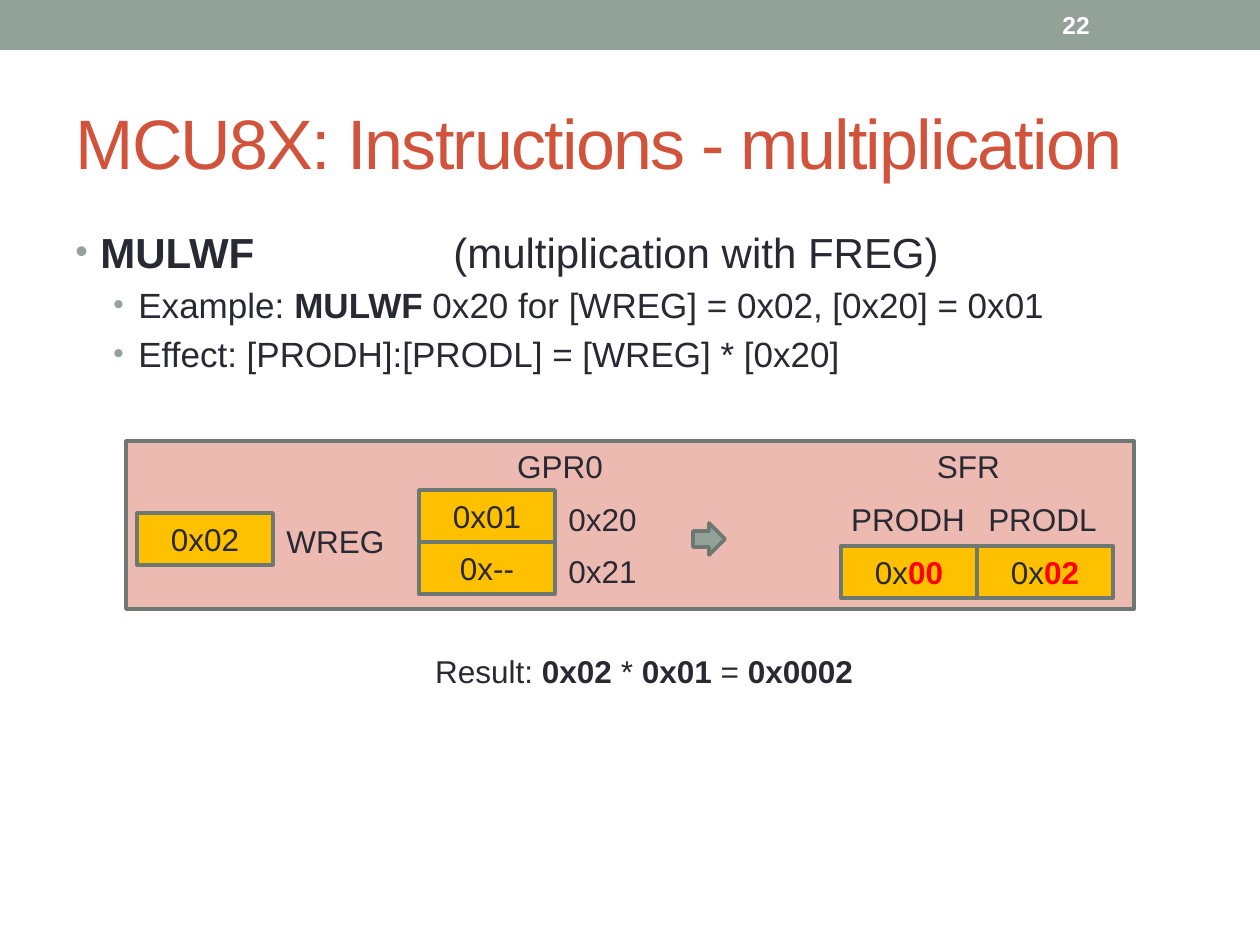
"""Build the MULWF multiplication slide."""
from dataclasses import dataclass

from lxml.etree import SubElement
from pptx import Presentation
from pptx.dml.color import RGBColor as RGB
from pptx.enum.shapes import MSO_SHAPE as SHAPE
from pptx.enum.text import MSO_ANCHOR as ANCHOR, PP_ALIGN as ALIGN
from pptx.oxml.ns import qn
from pptx.util import Emu, Pt


@dataclass(frozen=True)
class Theme:
    font: str = "Arial"
    sage: str = "93A299"
    edge: str = "6D7871"
    title: str = "D2533C"
    ink: str = "292934"
    panel: str = "EDBAB1"
    cell: str = "FFC000"
    result: str = "FF0000"
    white: str = "FFFFFF"
    title_size: int = 40
    bullet_size: int = 24
    sub_size: int = 20
    label_size: int = 18
    number_size: int = 14
    line: float = 2.08


T = Theme()
SCALE = 914400 / 126


def px(*values):
    return [Emu(round(v * SCALE)) for v in values]


def add_runs(p, size, *runs):
    for text, bold, color in runs:
        r = p.add_run()
        r.text = text
        r.font.name, r.font.size, r.font.bold = T.font, Pt(size), bold
        r.font.color.rgb = RGB.from_string(color)


prs = Presentation()
prs.slide_width, prs.slide_height = px(1260, 945)
s = prs.slides.add_slide(prs.slide_layouts[5])

title = s.shapes.title
title.left, title.top, title.width, title.height = px(63, 73, 1134, 136)
title.text_frame.vertical_anchor = ANCHOR.MIDDLE
p = title.text_frame.paragraphs[0]
p.alignment = ALIGN.LEFT
add_runs(p, T.title_size, ("MCU8X: Instructions - multiplication", False, T.title))
p.runs[0].font._element.set("spc", "-100")

bullets = [
    (0, T.bullet_size, 25, 2, [("MULWF", True), ("\t\t(multiplication with FREG)", False)]),
    (1, T.sub_size, 63, 4, [("Example: ", False), ("MULWF", True),
                            (" 0x20 for [WREG] = 0x02, [0x20] = 0x01", False)]),
    (1, T.sub_size, 63, 4, [("Effect: [PRODH]:[PRODL] = [WREG] * [0x20]", False)]),
]
tf = s.shapes.add_textbox(*px(63, 220, 1134, 672)).text_frame
tf.word_wrap = True
for i, (level, size, margin, before, runs) in enumerate(bullets):
    p = tf.add_paragraph() if i else tf.paragraphs[0]
    p.level, p.space_before = level, Pt(before)
    pPr = p._p.get_or_add_pPr()
    for name, length in (("marL", margin), ("indent", -25), ("defTabSz", 126)):
        pPr.set(name, str(px(length)[0]))
    SubElement(SubElement(pPr, qn("a:buClr")), qn("a:srgbClr"), val=T.sage)
    SubElement(pPr, qn("a:buSzPct"), val="85000")
    SubElement(pPr, qn("a:buFont"), typeface=T.font)
    SubElement(pPr, qn("a:buChar"), char="•")
    add_runs(p, size, *[(text, bold, T.ink) for text, bold in runs])

CELL_W, CELL_H = 136, 52
GPR_X, GPR_Y = 419, 490
SFR_X, SFR_Y = 841, 546
shapes = [
    (SHAPE.RECTANGLE, (0, 0, 1260, 50), T.sage, False, "", ""),
    (SHAPE.RECTANGLE, (126, 441, 1008, 168), T.panel, True, "", ""),
    (SHAPE.DOWN_ARROW, (693, 523, 32, 32), T.sage, True, "", ""),
]
cells = [
    (137, 513, "0x02", ""),
    (GPR_X, GPR_Y, "0x01", ""),
    (GPR_X, GPR_Y + CELL_H, "0x--", ""),
    (SFR_X, SFR_Y, "0x", "00"),
    (SFR_X + CELL_W, SFR_Y, "0x", "02"),
]
shapes += [(SHAPE.RECTANGLE, (x, y, CELL_W, CELL_H), T.cell, True, text, changed)
           for x, y, text, changed in cells]
for kind, box, fill, outlined, text, changed in shapes:
    sp = s.shapes.add_shape(kind, *px(*box))
    sp.shadow.inherit = False
    sp.fill.solid()
    sp.fill.fore_color.rgb = RGB.from_string(fill)
    if outlined:
        sp.line.color.rgb = RGB.from_string(T.edge)
        sp.line.width = Pt(T.line)
    else:
        sp.line.fill.background()
    if kind == SHAPE.DOWN_ARROW:
        sp.rotation = 270
    if text:
        sp.text_frame.vertical_anchor = ANCHOR.MIDDLE
        p = sp.text_frame.paragraphs[0]
        p.alignment = ALIGN.CENTER
        add_runs(p, T.label_size, (text, False, T.ink))
        if changed:
            add_runs(p, T.label_size, (changed, True, T.result))

labels = [
    ("WREG", 273, 516, 125),
    ("0x20", 555, 494, 95),
    ("0x21", 555, 546, 95),
    ("GPR0", 504, 441, 112),
    ("SFR", 924, 441, 89),
    ("PRODH", 838, 494, 140),
    ("PRODL", 975, 494, 135),
]
for text, x, y, w in labels:
    tf = s.shapes.add_textbox(*px(x, y, w, 51)).text_frame
    tf.word_wrap = False
    p = tf.paragraphs[0]
    p.alignment = ALIGN.CENTER
    add_runs(p, T.label_size, (text, False, T.ink))

tf = s.shapes.add_textbox(*px(168, 646, 914, 51)).text_frame
tf.word_wrap = True
p = tf.paragraphs[0]
p.alignment = ALIGN.CENTER
p._p.get_or_add_pPr().set("marL", str(px(38)[0]))
for i, text in enumerate(["Result: ", "0x02 ", "* ", "0x01 ", "= ", "0x0002"]):
    add_runs(p, T.label_size, (text, i % 2 == 1, T.ink))

tf = s.shapes.add_textbox(*px(1050, 2, 147, 45)).text_frame
tf.word_wrap = True
tf.vertical_anchor = ANCHOR.MIDDLE
add_runs(tf.paragraphs[0], T.number_size, ("22", True, T.white))

prs.save("out.pptx")
